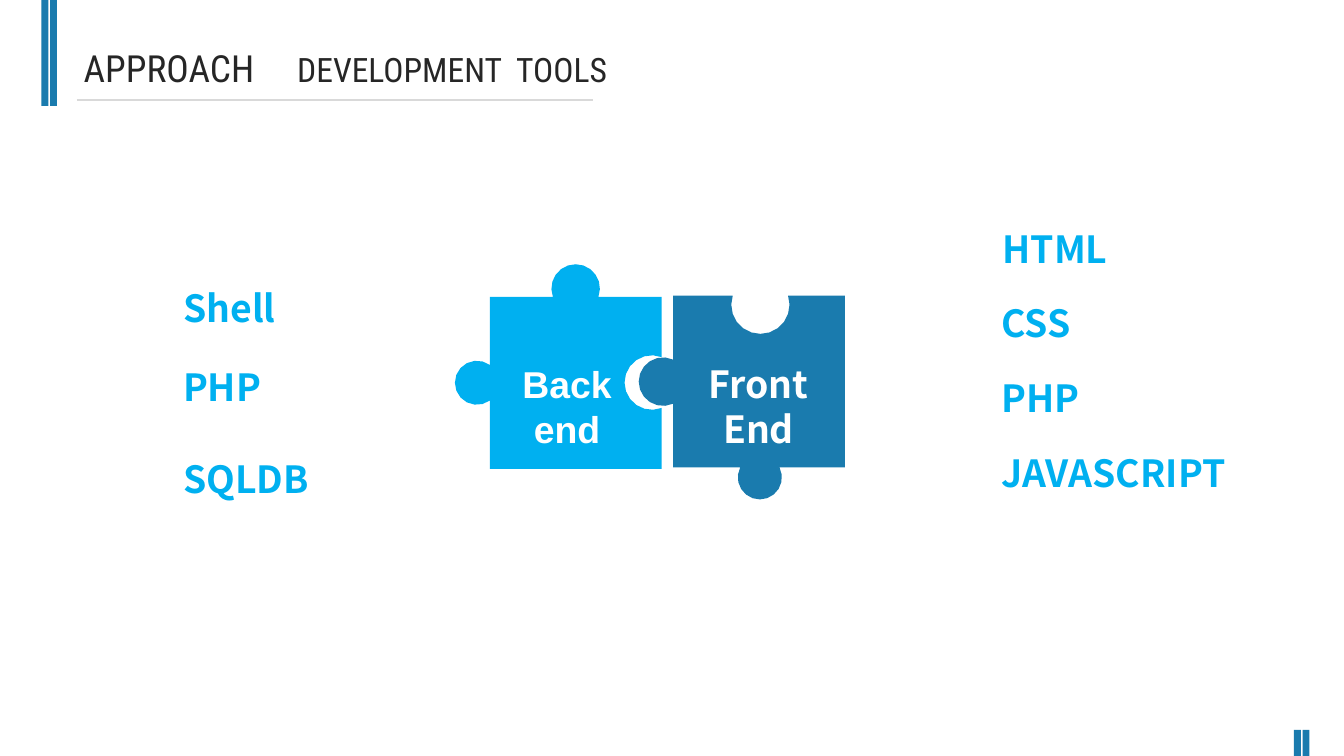
from dataclasses import dataclass
from math import atan2, cos, hypot, sin, sqrt, tau

from lxml.etree import SubElement
from pptx import Presentation
from pptx.dml.color import RGBColor
from pptx.enum.shapes import MSO_CONNECTOR, MSO_SHAPE
from pptx.enum.text import MSO_ANCHOR, MSO_AUTO_SIZE, PP_ALIGN
from pptx.oxml.ns import qn
from pptx.util import Pt


@dataclass(frozen=True)
class Theme:
    navy: str = "1A7BAE"
    sky: str = "00B0F0"
    rule: str = "D9D9D9"
    ink: str = "262626"
    white: str = "FFFFFF"
    head: str = "Roboto Condensed"
    body: str = "Noto Sans CJK SC"
    plain: str = "Arial"
    large: int = 20
    small: int = 18


def outline(left, top, side, joints, count=12):
    """Walk a square clockwise; joints maps a side (0 top, 1 right, 2 bottom,
    3 left) to (centre x, centre y, radius, turn), turn 1 for a knob, -1 for a notch."""
    corners = [(left, top), (left + side, top),
               (left + side, top + side), (left, top + side)]
    steps = [(1, 0), (0, 1), (-1, 0), (0, -1)]
    points = []
    for i, ((px, py), (ux, uy)) in enumerate(zip(corners, steps)):
        points.append((px, py))
        if i not in joints:
            continue
        cx, cy, radius, turn = joints[i]
        along = (cx - px) * ux + (cy - py) * uy
        fx, fy = px + ux * along, py + uy * along
        half = sqrt(radius ** 2 - hypot(cx - fx, cy - fy) ** 2)
        first = atan2(fy - uy * half - cy, fx - ux * half - cx)
        last = atan2(fy + uy * half - cy, fx + ux * half - cx)
        sweep = turn * ((last - first) * turn % tau)
        for n in range(count + 1):
            angle = first + sweep * n / count
            points.append((cx + radius * cos(angle), cy + radius * sin(angle)))
    return points


class Deck:
    def __init__(self, theme):
        self.theme = theme
        self.file = Presentation()
        self.file.slide_width, self.file.slide_height = Pt(720), Pt(405)
        self.slide = self.file.slides.add_slide(self.file.slide_layouts[5])

    def paint(self, shape, color):
        shape.shadow.inherit = False
        shape.fill.solid()
        shape.fill.fore_color.rgb = RGBColor.from_string(color)
        shape.line.fill.background()

    def style(self, run, font, size, color, bold):
        run.font.name, run.font.size, run.font.bold = font, Pt(size), bold
        run.font.color.rgb = RGBColor.from_string(color)

    def fit(self, frame):
        frame.word_wrap = True
        frame.auto_size = MSO_AUTO_SIZE.SHAPE_TO_FIT_TEXT
        frame.vertical_anchor = MSO_ANCHOR.TOP

    def title(self, box, topic, detail, stop):
        """Set both title parts on one line, the second at a tab stop."""
        shape = self.slide.shapes.title
        shape.left, shape.top, shape.width, shape.height = map(Pt, box)
        self.fit(shape.text_frame)
        line = shape.text_frame.paragraphs[0]
        line.alignment = PP_ALIGN.LEFT
        tabs = SubElement(line._p.get_or_add_pPr(), qn("a:tabLst"))
        SubElement(tabs, qn("a:tab"), pos=str(Pt(stop)), algn="l")
        for text, size in ((topic + "\t", self.theme.large),
                           (detail, self.theme.small)):
            run = line.add_run()
            run.text = text
            self.style(run, self.theme.head, size, self.theme.ink, False)

    def bar(self, *box):
        shape = self.slide.shapes.add_shape(MSO_SHAPE.RECTANGLE, *map(Pt, box))
        self.paint(shape, self.theme.navy)

    def rule(self, *ends):
        line = self.slide.shapes.add_connector(MSO_CONNECTOR.STRAIGHT, *map(Pt, ends))
        line.line.color.rgb = RGBColor.from_string(self.theme.rule)
        line.line.width = Pt(0.75)
        SubElement(line._element.spPr, qn("a:effectLst"))

    def piece(self, points, color):
        spots = [(Pt(x), Pt(y)) for x, y in points]
        pen = self.slide.shapes.build_freeform(*spots[0])
        pen.add_line_segments(spots[1:], close=True)
        self.paint(pen.convert_to_shape(), color)

    def label(self, text, box, color, font, align=PP_ALIGN.LEFT):
        frame = self.slide.shapes.add_textbox(*map(Pt, box)).text_frame
        self.fit(frame)
        frame.text = text
        for line in frame.paragraphs:
            line.alignment = align
            for run in line.runs:
                self.style(run, font, self.theme.large, color, True)


def main():
    theme = Theme()
    deck = Deck(theme)

    for x in (22.2, 26.8):
        deck.bar(x, 0, 3.7, 56.8)
    for x in (693.2, 697.8):
        deck.bar(x, 391, 3.7, 14)
    deck.rule(41.2, 53.6, 317.6, 53.6)
    deck.title((37.6, 20.5, 304.6, 31.5), "APPROACH", "DEVELOPMENT  TOOLS", 114.4)

    side = 92.1
    front = {0: (407.4, 163.3, 15.6, -1),
             2: (407.1, 255.8, 11.8, 1),
             3: (355.2, 204.5, 13, 1)}
    back = {0: (308.4, 154.6, 13, 1),
            1: (349.2, 205, 14.6, -1),
            3: (255.5, 205.1, 11.8, 1)}
    deck.piece(outline(360.6, 158.4, side, front), theme.navy)
    deck.piece(outline(262.4, 159.1, side, back), theme.sky)

    for text, x, font in (("Back\nend", 264.2, theme.plain),
                          ("Front\nEnd", 366.8, theme.body)):
        deck.label(text, (x, 189.8, 79.2, 55.4), theme.white, font, PP_ALIGN.CENTER)

    tools = [("Shell", 91, 149), ("PHP", 91, 191.5), ("SQLDB", 91, 240.9)]
    tools += [("HTML", 529.9, 117.4)]
    tools += [(name, 529.4, 157.3 + 40.2 * i)
              for i, name in enumerate(("CSS", "PHP", "JAVASCRIPT"))]
    for name, x, y in tools:
        deck.label(name, (x, y, 152.6, 31.5), theme.sky, theme.body)

    deck.file.save("out.pptx")


if __name__ == "__main__":
    main()
